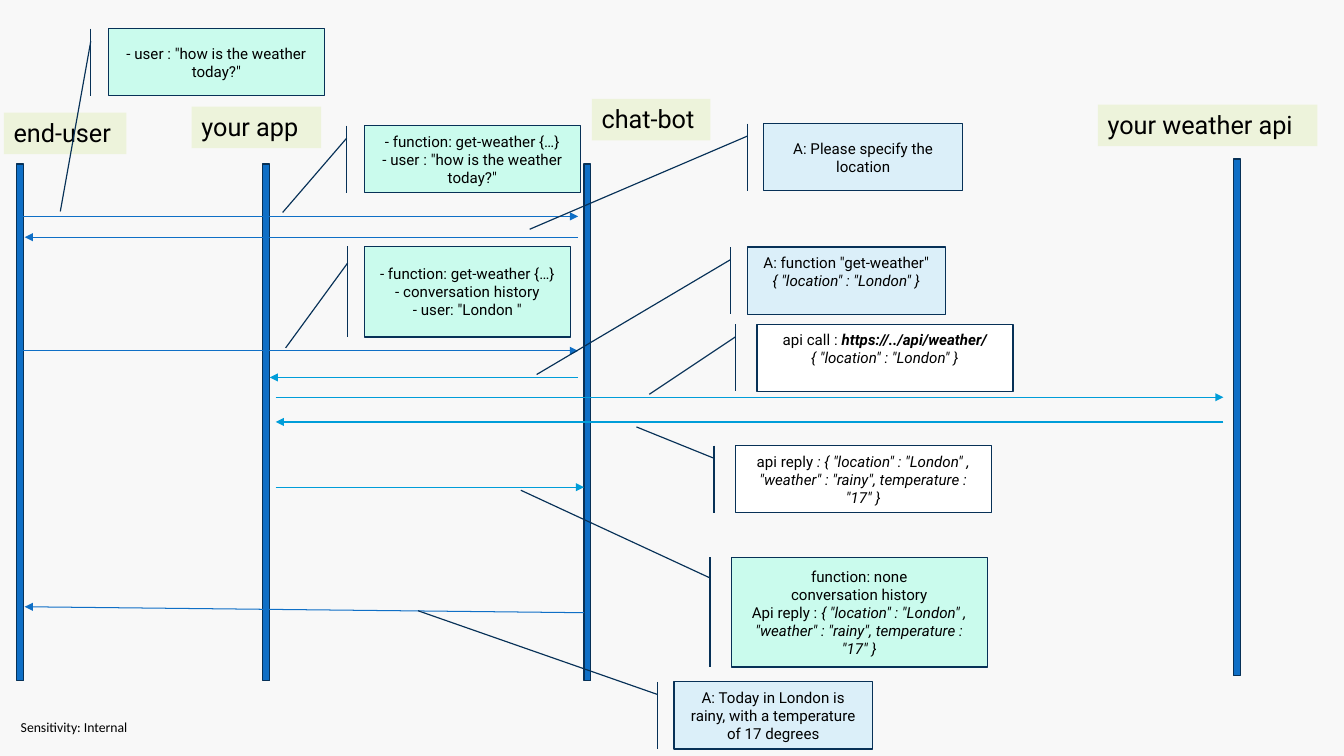
import pptx
import pptx.util
import pptx.dml.color
import pptx.enum.shapes
import pptx.enum.text
import pptx.oxml
import pptx.oxml.ns

Inches = pptx.util.Inches
Pt = pptx.util.Pt
NAVY, BLUE, CYAN = "073157", "0F6FC6", "009DD9"
MINT, SKY, WHITE, OLIVE = "CAFBED", "DBEFF9", "FFFFFF", "EDF3DB"
BLACK, PAPER = "000000", "F8F8F8"
PLAIN, ITALIC, BOLD_ITALIC = (False, False), (False, True), (True, True)


def color(value):
    return pptx.dml.color.RGBColor.from_string(value)


class SequenceDiagram:
    font = "Roboto"
    outline = 0.85

    def __init__(self, slide):
        self.slide = slide
        slide.background.fill.solid()
        slide.background.fill.fore_color.rgb = color(PAPER)

    def format_run(self, run, size, font, style=PLAIN):
        run.font.size = Pt(size)
        run.font.name = font
        run.font.bold, run.font.italic = style
        run.font.color.rgb = color(BLACK)

    def box(self, kind, left, top, width, height, fill):
        shape = self.slide.shapes.add_shape(
            kind, Inches(left), Inches(top), Inches(width), Inches(height))
        shape.shadow.inherit = False
        shape.fill.solid()
        shape.fill.fore_color.rgb = color(fill)
        shape.line.color.rgb = color(NAVY)
        shape.line.width = Pt(self.outline)
        return shape

    def lifeline(self, left, top):
        self.box(pptx.enum.shapes.MSO_SHAPE.RECTANGLE, left, top, 0.07, 5.23, BLUE)

    def label(self, text, left, top, width, height, size, fill=None, font=font):
        shape = self.slide.shapes.add_textbox(
            Inches(left), Inches(top), Inches(width), Inches(height))
        frame = shape.text_frame
        frame.word_wrap = False
        frame.auto_size = pptx.enum.text.MSO_AUTO_SIZE.SHAPE_TO_FIT_TEXT
        frame.text = text
        self.format_run(frame.paragraphs[0].runs[0], size, font)
        if fill:
            shape.fill.solid()
            shape.fill.fore_color.rgb = color(fill)
        else:
            frame.margin_left = frame.margin_right = 0
            frame.margin_top = frame.margin_bottom = 0

    def message(self, start, end, line_color, width):
        connector = self.slide.shapes.add_connector(
            pptx.enum.shapes.MSO_CONNECTOR.STRAIGHT,
            *[Inches(value) for value in start + end])
        connector.line.color.rgb = color(line_color)
        connector.line.width = Pt(width)
        namespace = pptx.oxml.ns.nsdecls("a")
        connector.line._get_or_add_ln().append(
            pptx.oxml.parse_xml(f'<a:tailEnd {namespace} type="triangle"/>'))
        connector._element.spPr.append(
            pptx.oxml.parse_xml(f"<a:effectLst {namespace}/>"))

    def callout(self, place, tip, fill, lines, bottom=0.05):
        left, top, width, height = place
        shape = self.box(
            pptx.enum.shapes.MSO_SHAPE.LINE_CALLOUT_1_BORDER_AND_ACCENT_BAR,
            left, top, width, height, fill)
        bend = (0.1875, -0.0833, (tip[1] - top) / height, (tip[0] - left) / width)
        for index, value in enumerate(bend):
            shape.adjustments[index] = value
        frame = shape.text_frame
        frame.word_wrap = True
        frame.vertical_anchor = pptx.enum.text.MSO_ANCHOR.MIDDLE
        frame.margin_bottom = Inches(bottom)
        for index, line in enumerate(lines):
            paragraph = frame.add_paragraph() if index else frame.paragraphs[0]
            paragraph.alignment = pptx.enum.text.PP_ALIGN.CENTER
            parts = [(line, PLAIN)] if isinstance(line, str) else line
            for text, style in parts:
                run = paragraph.add_run()
                run.text = text
                self.format_run(run, 11, self.font, style)


def main():
    presentation = pptx.Presentation()
    presentation.slide_width = Inches(13.6)
    presentation.slide_height = Inches(7.65)
    diagram = SequenceDiagram(presentation.slides.add_slide(presentation.slide_layouts[6]))

    diagram.label("Sensitivity: Internal", 0.21, 7.27, 1.11, 0.17, 10, font="Calibri")

    for left, top in ((0.17, 1.66), (2.66, 1.66), (5.91, 1.66), (12.48, 1.61)):
        diagram.lifeline(left, top)

    for start, end, line_color, width in (
        ((0.22, 2.19), (5.85, 2.19), BLUE, 0.75),
        ((5.85, 2.4), (0.25, 2.4), BLUE, 0.75),
        ((0.22, 3.55), (5.85, 3.55), BLUE, 0.75),
        ((5.85, 3.82), (2.73, 3.82), CYAN, 0.85),
        ((2.79, 4.02), (12.38, 4.02), CYAN, 0.85),
        ((12.38, 4.27), (2.79, 4.27), CYAN, 0.85),
        ((2.79, 4.93), (5.91, 4.93), CYAN, 0.85),
        ((5.91, 6.2), (0.25, 6.14), BLUE, 0.75),
    ):
        diagram.message(start, end, line_color, width)

    for name, left, top, width in (
        ("end-user", 0.04, 1.14, 1.24),
        ("your app", 1.94, 1.08, 1.31),
        ("chat-bot", 5.99, 1, 1.2),
        ("your weather api", 11.11, 1.06, 2.22),
    ):
        diagram.label(name, left, top, width, 0.42, 18.4, OLIVE)

    question = '- user : "how is the weather today?"'
    functions = "- function: get-weather {…}"
    location = '{ "location" : "London" }'
    weather = '{ "location" : "London" , "weather" : "rainy", temperature : "17" }'

    diagram.callout((1.1, 0.29, 2.18, 0.68), (0.61, 2.14), MINT, [question])
    diagram.callout((3.69, 1.27, 2.18, 0.68), (2.86, 2.15), MINT, [functions, question])
    diagram.callout((3.69, 2.49, 2.08, 0.92), (2.89, 3.52), MINT,
                    [functions, "- conversation history", '- user: "London "'])
    diagram.callout((7.73, 1.25, 2.01, 0.68), (5.36, 2.32), SKY,
                    ["A: Please specify the location"])
    diagram.callout((7.56, 2.5, 2.01, 0.68), (5.43, 3.79), SKY,
                    ['A: function "get-weather"', [(location, ITALIC)]], bottom=0.23)
    diagram.callout((7.66, 3.28, 2.59, 0.68), (6.57, 3.99), WHITE,
                    [[("api call : ", PLAIN), ("https://../api/weather/ ", BOLD_ITALIC),
                      (location, ITALIC)]], bottom=0.23)
    diagram.callout((7.44, 4.51, 2.59, 0.68), (6.44, 4.32), WHITE,
                    [[("api reply ", PLAIN), (": " + weather, ITALIC)]])
    diagram.callout((7.4, 5.64, 2.59, 1.11), (5.27, 4.96), MINT,
                    ["function: none", "conversation history",
                     [("Api reply : ", PLAIN), (weather, ITALIC)]])
    diagram.callout((6.82, 6.9, 2.01, 0.68), (4.23, 6.18), SKY,
                    ["A: Today in London is rainy, with a temperature of 17 degrees"])

    presentation.save("out.pptx")


if __name__ == "__main__":
    main()
